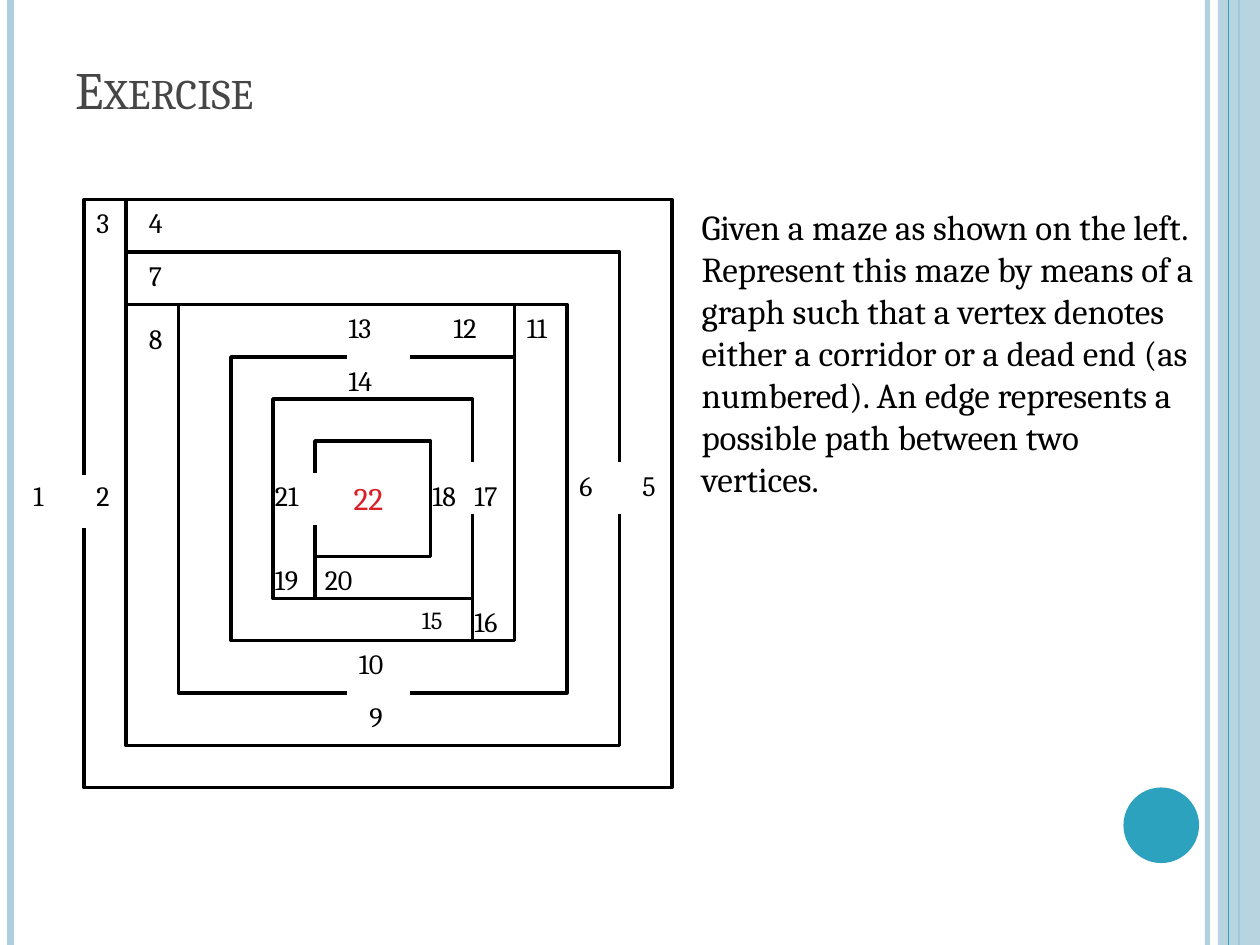
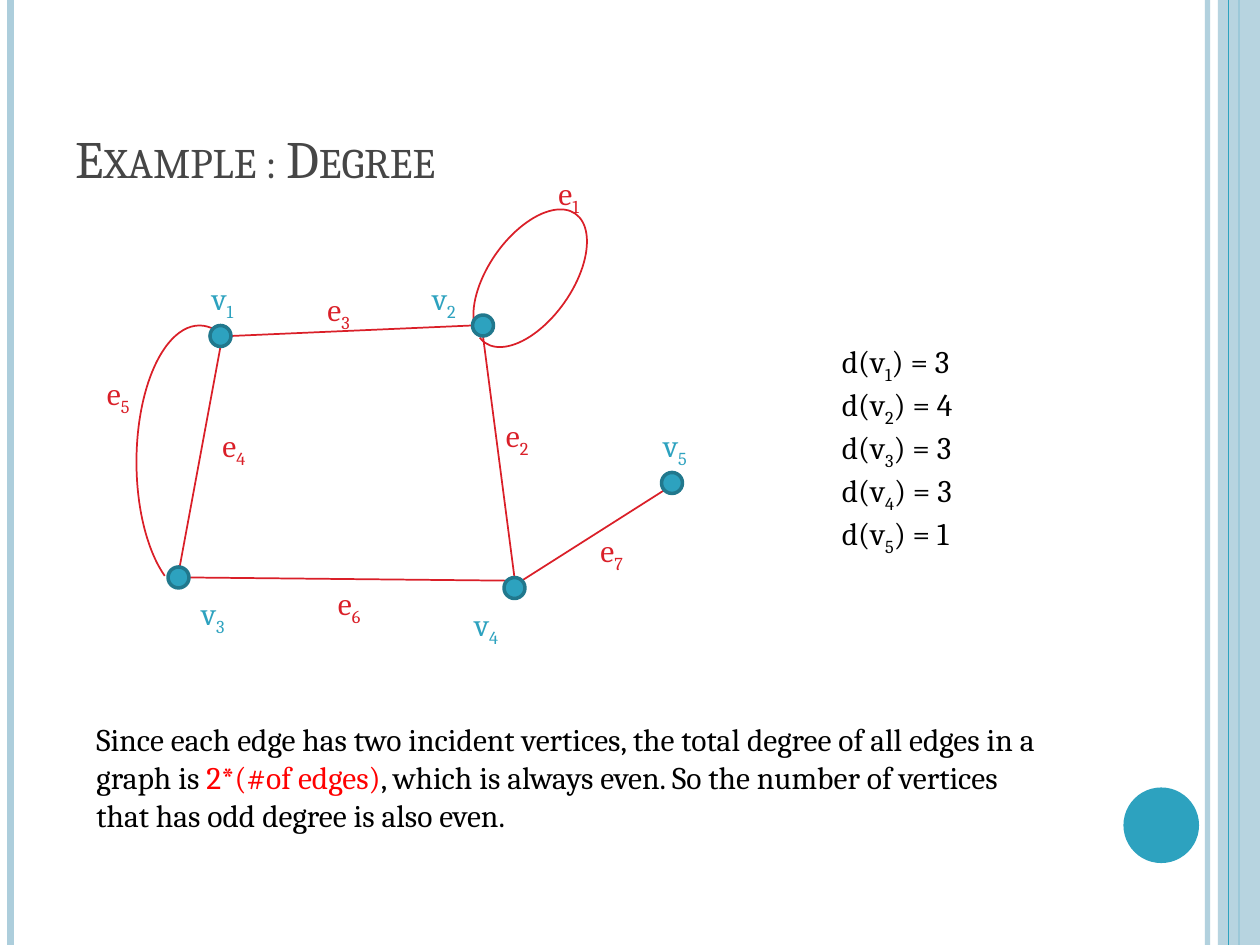
from lxml import etree
from pptx import Presentation
from pptx.dml.color import RGBColor
from pptx.enum.shapes import MSO_CONNECTOR as CONN, MSO_SHAPE as SHAPE
from pptx.enum.text import MSO_ANCHOR as ANCHOR, MSO_AUTO_SIZE as AUTO, PP_ALIGN as ALIGN
from pptx.oxml.ns import qn
from pptx.util import Cm, Pt

FONT = "Cambria"
COLORS = {
    "black": "000000",
    "white": "FFFFFF",
    "title": "464646",
    "teal": "2DA2BF",
    "dark teal": "21788D",
    "pale": "ADCEDC",
    "crimson": "DA1F28",
    "red": "FF0000",
}


def color(name):
    return RGBColor.from_string(COLORS[name])


def grid(*steps):
    return [Cm(n * 2.54 / 12) for n in steps]


def set_alpha(sp, percent):
    clr = sp.element.find(".//" + qn("a:srgbClr"))
    etree.SubElement(clr, qn("a:alpha")).set("val", str(percent * 1000))


def set_font(p, size, name):
    p.font.name = FONT
    p.font.size = Pt(size)
    p.font.color.rgb = color(name)


def add_title(slide, text, height):
    title = slide.shapes.title
    title.left, title.top, title.width, title.height = grid(6, 3.6, 98, height)
    tf = title.text_frame
    tf.text = text
    tf.vertical_anchor = ANCHOR.BOTTOM
    p = tf.paragraphs[0]
    p.alignment = ALIGN.LEFT
    set_font(p, 30, "title")
    title.element.find(".//" + qn("a:defRPr")).set("cap", "small")


def add_shape(slide, kind, box, fill=None, line=None, width=1):
    sp = slide.shapes.add_shape(kind, *grid(*box))
    sp.shadow.inherit = False
    if fill:
        sp.fill.solid()
        sp.fill.fore_color.rgb = color(fill)
    else:
        sp.fill.background()
    if line:
        sp.line.color.rgb = color(line)
        sp.line.width = Pt(width)
    else:
        sp.line.fill.background()
    return sp


def add_line(slide, ends, name, width):
    line = slide.shapes.add_connector(CONN.STRAIGHT, *grid(*ends))
    line.line.color.rgb = color(name)
    line.line.width = Pt(width)
    etree.SubElement(line.element.find(qn("p:spPr")), qn("a:effectLst"))
    return line


def add_text(slide, box, paragraphs, size, name="black", wrap=True):
    tf = slide.shapes.add_textbox(*grid(*box)).text_frame
    tf.word_wrap = wrap
    tf.auto_size = AUTO.SHAPE_TO_FIT_TEXT
    for i, text in enumerate(paragraphs):
        p = tf.add_paragraph() if i else tf.paragraphs[0]
        set_font(p, size, name)
        for j, part in enumerate(text.split("_")):
            r = p.add_run()
            r.text = part
            if j % 2:
                r._r.get_or_add_rPr().set("baseline", "-25000")
    return tf


def add_number(slide, number, x, y, size=16, name="black"):
    width = 4.1 if number < 10 else 5.76
    add_text(slide, (x, y, width, 4.44), [str(number)], size, name, wrap=False)


def add_label(slide, text, x, y, name):
    add_text(slide, (x, y, 5.4, 4.8), [text], 18, name, wrap=False)


def add_arc(slide, box, start, end, rotation=0):
    arc = add_shape(slide, SHAPE.ARC, box, line="crimson")
    arc.adjustments[0] = start
    arc.adjustments[1] = end
    arc.rotation = rotation


def frame_master(prs, slide):
    band = add_shape(slide, SHAPE.RECTANGLE, (116, 0, 4, 90), "pale")
    set_alpha(band, 87)
    rules = [
        add_line(slide, (x, 0, x, 90), name, width)
        for x, name, width in [
            (115, "pale", 3), (1, "pale", 4.5), (118, "teal", 1.5), (117, "teal", 0.75)
        ]
    ]
    set_alpha(rules[0], 93)
    disc = add_shape(slide, SHAPE.OVAL, (107, 75, 7.2, 7.2), "teal")
    for i, sp in enumerate([*rules[:3], band, rules[3], disc]):
        sp.element.find(".//" + qn("p:cNvPr")).set("id", str(100 + i))
        prs.slide_master.shapes.element.append(sp.element)


def draw_maze(slide):
    for x, y, side in [(8, 19, 56), (12, 24, 47), (17, 29, 37),
                       (22, 34, 27), (26, 38, 19), (30, 42, 11)]:
        add_shape(slide, SHAPE.RECTANGLE, (x, y, side, side), "white", "black", 2)
    gaps = [(8, 50.25, 8, 45.25), (59, 49, 59, 44), (39, 34, 33, 34),
            (45, 49, 45, 44), (30, 50, 30, 45), (39, 66, 33, 66)]
    walls = [(12, 24, 12, 19), (12, 29, 17, 29), (30, 57, 30, 52),
             (49, 34, 49, 29), (45, 61, 45, 56)]
    for name, lines in [("white", gaps), ("black", walls)]:
        for ends in lines:
            add_line(slide, ends, name, 2.25)
    spots = [(2, 45), (8, 45), (8, 19), (13, 19), (60, 44), (54, 44), (13, 24),
             (13, 30), (34, 66), (33, 61), (49, 29), (42, 29), (32, 29), (32, 34),
             (39, 57), (44, 57), (44, 45), (40, 45), (25, 53), (29.75, 53), (25, 45)]
    for number, (x, y) in enumerate(spots, 1):
        add_number(slide, number, x, y, 14 if number == 15 else 16)
    add_number(slide, 22, 32.5, 45, 18, "crimson")


def draw_graph(slide):
    for ends in [(21, 33, 17, 54.6), (46, 32, 49, 55), (22, 32, 45, 31),
                 (18, 55, 48.25, 55.3), (49.7, 55.3, 63.25, 46.7)]:
        add_line(slide, ends, "crimson", 1)
    add_arc(slide, (46.5, 19, 8, 15), 60.96, 57.22, 35)
    add_arc(slide, (13, 31, 12, 26), 64.17, 170.63)
    for x, y in [(20, 31), (45, 30), (16, 54), (48, 55), (63, 45)]:
        add_shape(slide, SHAPE.OVAL, (x, y, 2, 2), "teal", "dark teal", 2)
    vertex_spots = [(19, 26), (40, 26), (18, 56), (44, 57), (62, 40)]
    edge_spots = [(52, 16), (47, 39), (30, 27), (20, 40), (9, 35), (31, 55), (56, 50)]
    for letter, spots, name in [("v", vertex_spots, "teal"), ("e", edge_spots, "crimson")]:
        for i, (x, y) in enumerate(spots, 1):
            add_label(slide, f"{letter}_{i}", x, y, name)


def main():
    prs = Presentation()
    prs.slide_width, prs.slide_height = Cm(25.4), Cm(19.05)
    title_only = prs.slide_layouts[5]

    exercise = prs.slides.add_slide(title_only)
    frame_master(prs, exercise)
    add_title(exercise, "Exercise", 8.4)
    tf = add_text(exercise, (62, 19, 53, 64), [
        "Given a maze as shown on the left. Represent this maze by means of a graph "
        "such that a vertex denotes either a corridor or a dead end (as numbered). "
        "An edge represents a possible path between two vertices."
    ], 20)
    tf.margin_left = Cm(1.02)
    draw_maze(exercise)

    example = prs.slides.add_slide(title_only)
    add_title(example, "Example : Degree", 15)
    draw_graph(example)
    degrees = [3, 4, 3, 3, 1]
    add_text(example, (79, 32, 35, 19.4),
             [f"d(v_{i}_) = {d}" for i, d in enumerate(degrees, 1)], 18)
    tf = add_text(example, (8, 68, 93, 12.1), [
        "Since each edge has two incident vertices, the total degree of all edges in a graph is "
    ], 18)
    p = tf.paragraphs[0]
    r = p.add_run()
    r.text = "2*(#of edges)"
    r.font.color.rgb = color("red")
    p.add_run().text = (", which is always even. So the number of vertices "
                        "that has odd degree is also even.")

    prs.save("out.pptx")


if __name__ == "__main__":
    main()
